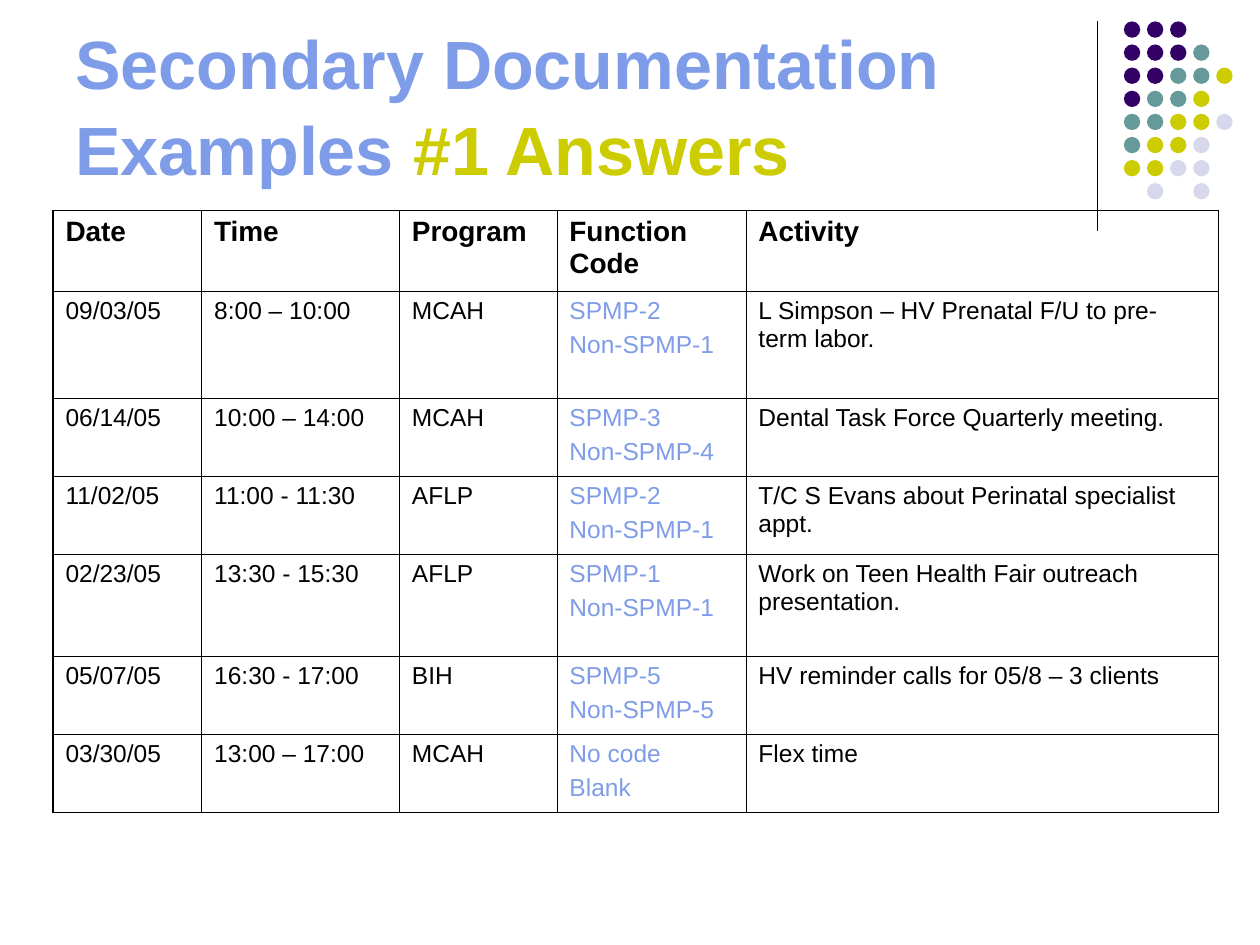
from lxml.etree import SubElement
from pptx import Presentation
from pptx.dml.color import RGBColor
from pptx.enum.shapes import MSO_CONNECTOR, MSO_SHAPE
from pptx.enum.text import MSO_ANCHOR
from pptx.oxml.ns import qn
from pptx.util import Inches, Pt

COLORS = {
    "black": "000000",
    "blue": "7E9CE8",
    "purple": "330066",
    "teal": "669999",
    "yellow": "CCCC00",
    "lavender": "D8D8EC",
}
FONT = "Arial"
THIN, THICK = 0.45, 1.08

DOT_COLORS = {"P": "purple", "T": "teal", "Y": "yellow", "L": "lavender"}
DOT_ROWS = ["PPP", "PPPT", "PPTTY", "PTTY", "TTYYL", "TYYL", "YYLL", " L L"]
DOT_SIZE, DOT_PITCH = 0.13, 0.18333

COLUMN_WIDTHS = [1.18, 1.57, 1.25, 1.5, 3.75]
ROW_HEIGHTS = [0.64, 0.85, 0.62, 0.62, 0.81, 0.62, 0.62]
CODE_COLUMN = 3
TABLE_ROWS = [
    ("Date", "Time", "Program", "Function Code", "Activity"),
    ("09/03/05", "8:00 – 10:00", "MCAH", "SPMP-2\nNon-SPMP-1",
     "L Simpson – HV Prenatal F/U to pre-term labor."),
    ("06/14/05", "10:00 – 14:00", "MCAH", "SPMP-3\nNon-SPMP-4",
     "Dental Task Force Quarterly meeting."),
    ("11/02/05", "11:00 - 11:30", "AFLP", "SPMP-2\nNon-SPMP-1",
     "T/C S Evans about Perinatal specialist appt."),
    ("02/23/05", "13:30 - 15:30", "AFLP", "SPMP-1\nNon-SPMP-1",
     "Work on Teen Health Fair outreach presentation."),
    ("05/07/05", "16:30 - 17:00", "BIH", "SPMP-5\nNon-SPMP-5",
     "HV reminder calls for 05/8 – 3 clients"),
    ("03/30/05", "13:00 – 17:00", "MCAH", "No code\nBlank", "Flex time"),
]


def rgb(name):
    return RGBColor.from_string(COLORS[name])


def set_font(font, size, color, bold):
    font.name = FONT
    font.size = Pt(size)
    font.bold = bold
    font.color.rgb = rgb(color)


def add_divider(s):
    line = s.shapes.add_connector(
        MSO_CONNECTOR.STRAIGHT, Inches(8.71), Inches(0.17), Inches(8.71), Inches(1.83))
    line.line.color.rgb = rgb("black")
    line.line.width = Pt(0.75)
    SubElement(line._element.spPr, qn("a:effectLst"))


def add_dots(s):
    group = s.shapes.add_group_shape()
    for row, letters in enumerate(DOT_ROWS):
        for col, letter in enumerate(letters):
            if letter == " ":
                continue
            dot = group.shapes.add_shape(
                MSO_SHAPE.OVAL,
                Inches(8.92 + col * DOT_PITCH), Inches(0.17 + row * DOT_PITCH),
                Inches(DOT_SIZE), Inches(DOT_SIZE))
            dot.shadow.inherit = False
            dot.fill.solid()
            dot.fill.fore_color.rgb = rgb(DOT_COLORS[letter])
            dot.line.fill.background()


def add_title(s):
    tf = s.shapes.add_textbox(
        Inches(0.5), Inches(0.13), Inches(8.25), Inches(1.42)).text_frame
    tf.word_wrap = True
    tf.vertical_anchor = MSO_ANCHOR.BOTTOM
    p = tf.paragraphs[0]
    p.line_spacing = 1.05
    for text, color in [("Secondary Documentation \vExamples ", "blue"),
                        ("#1 Answers", "yellow")]:
        for i, part in enumerate(text.split("\v")):
            if i:
                p.add_line_break()
            r = p.add_run()
            r.text = part
            set_font(r.font, 39, color, True)


def set_borders(cell, widths):
    """Draw black borders; widths maps each side letter to points."""
    tcPr = cell._tc.get_or_add_tcPr()
    for side, width in widths.items():
        ln = SubElement(tcPr, qn(f"a:ln{side}"), w=str(Pt(width)))
        fill = SubElement(ln, qn("a:solidFill"))
        SubElement(fill, qn("a:srgbClr"), val=COLORS["black"])


def fill_cell(cell, text, size, color, bold):
    cell.margin_left = cell.margin_right = Inches(0.1)
    cell.margin_top = cell.margin_bottom = Inches(0.05)
    cell.fill.background()
    cell.text = text
    for i, p in enumerate(cell.text_frame.paragraphs):
        if i:
            p.space_before = Pt(3.5)
        set_font(p.font, size, color, bold)


def add_answer_table(s):
    last_row, last_col = len(ROW_HEIGHTS) - 1, len(COLUMN_WIDTHS) - 1
    table = s.shapes.add_table(
        last_row + 1, last_col + 1, Inches(0.42), Inches(1.67),
        Inches(sum(COLUMN_WIDTHS)), Inches(sum(ROW_HEIGHTS))).table
    table.first_row = table.horz_banding = False
    for column, width in zip(table.columns, COLUMN_WIDTHS):
        column.width = Inches(width)
    for row, height in zip(table.rows, ROW_HEIGHTS):
        row.height = Inches(height)
    for i, texts in enumerate(TABLE_ROWS):
        header = i == 0
        for j, text in enumerate(texts):
            cell = table.cell(i, j)
            set_borders(cell, {
                "L": THICK if j == 0 else THIN,
                "R": THICK if j == last_col else THIN,
                "T": THICK if header else THIN,
                "B": THICK if i == last_row else THIN,
            })
            color = "blue" if j == CODE_COLUMN and not header else "black"
            fill_cell(cell, text, 16 if header else 14, color, header)


def main():
    prs = Presentation()
    prs.slide_width, prs.slide_height = Inches(10), Inches(7.5)
    s = prs.slides.add_slide(prs.slide_layouts[6])
    add_divider(s)
    add_dots(s)
    add_title(s)
    add_answer_table(s)
    prs.save("out.pptx")


if __name__ == "__main__":
    main()
